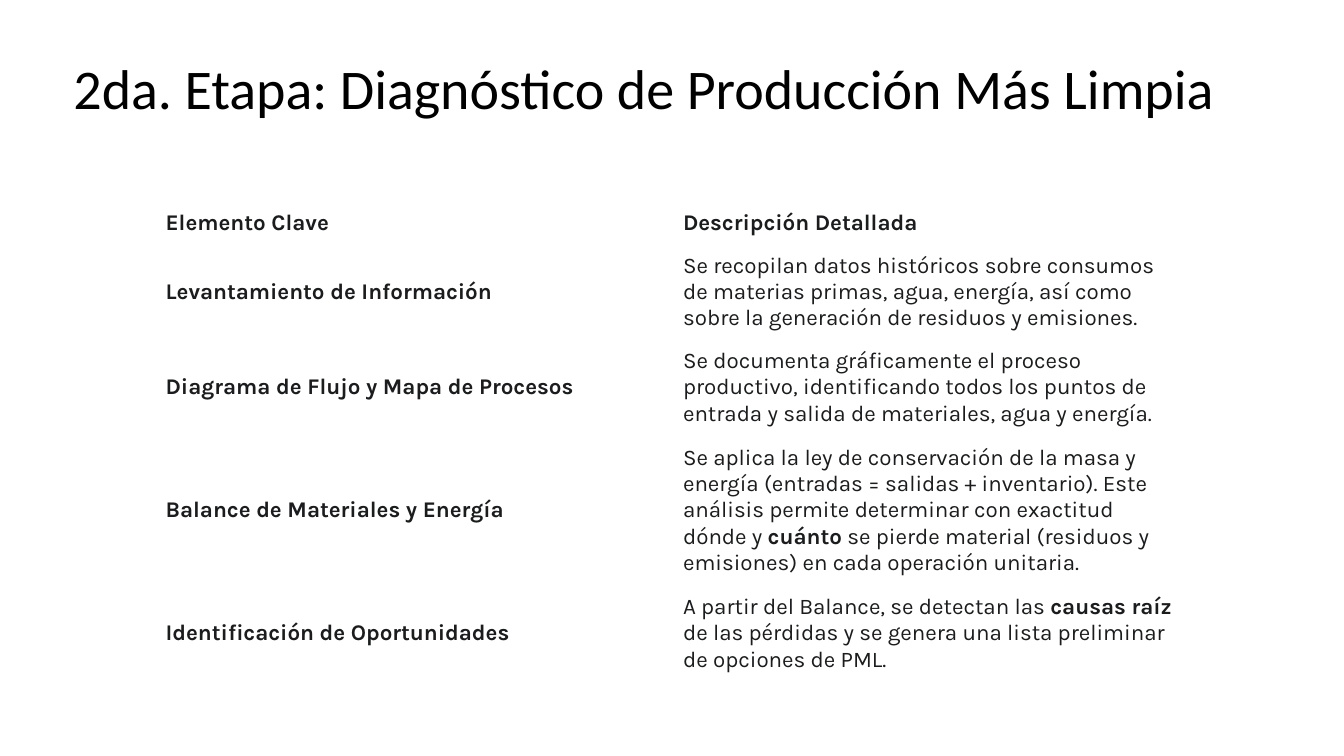
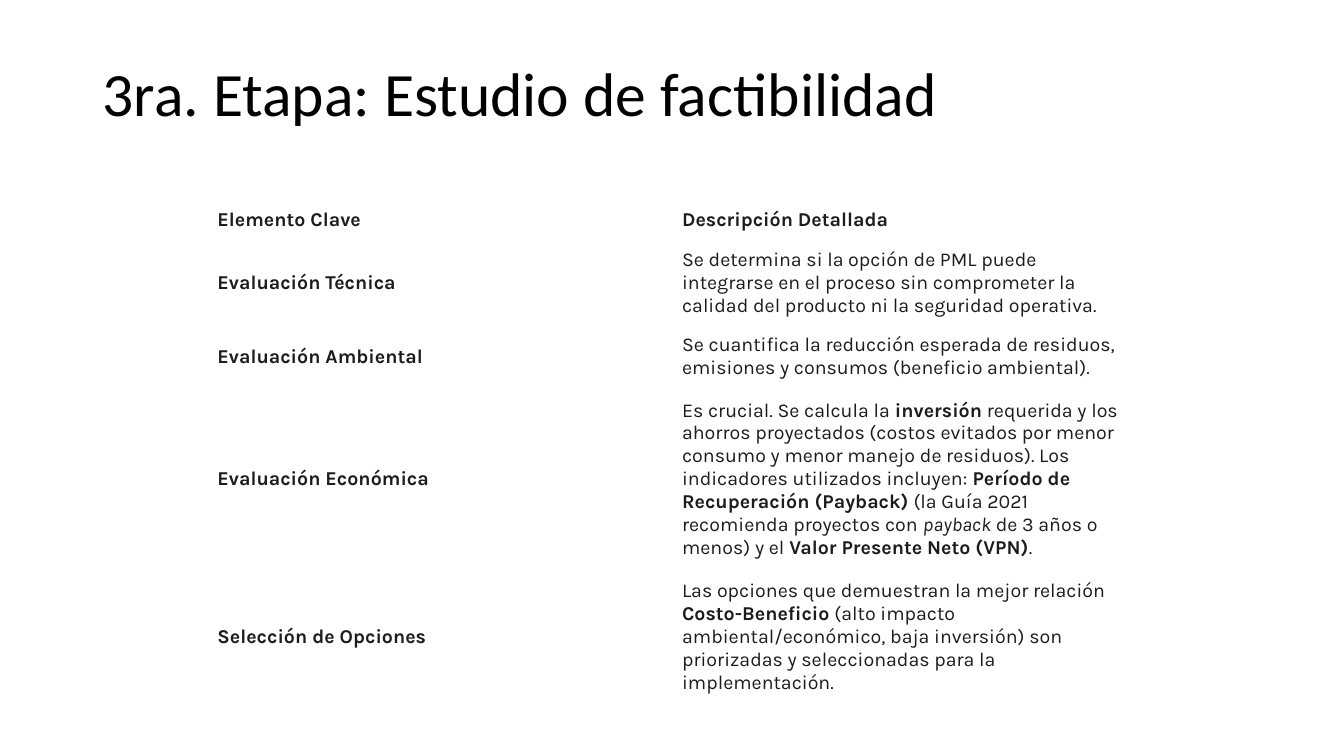
import pptx
import pptx.dml.color
import pptx.enum.text
import pptx.oxml
import pptx.oxml.ns
import pptx.util

BLACK = pptx.dml.color.RGBColor(0x00, 0x00, 0x00)
INK = pptx.dml.color.RGBColor(0x1B, 0x1C, 0x1D)
WHITE = pptx.dml.color.RGBColor(0xFF, 0xFF, 0xFF)

WIDTH = pptx.util.Inches(13.33)
HEIGHT = pptx.util.Inches(7.5)
COLUMN = WIDTH / 100
ROW = HEIGHT / 100
TITLE_TOP = 5.33 * ROW
TABLE_TOP = 26.67 * ROW
TABLE_HEIGHT = 63.47 * ROW
MIDDLE = pptx.enum.text.MSO_ANCHOR.MIDDLE
HEADINGS = ("Elemento Clave", "Descripción Detallada")

STAGES = [
    {
        "title": "2da. Etapa: Diagnóstico de Producción Más Limpia",
        "title_box": (4.73, 88.37, 13.6),
        "title_size": 40,
        "table_width": 77,
        "text_size": 16,
        "margin": 0.11,
        "row_weights": (42, 95, 95, 149, 95),
        "rows": [
            ("Levantamiento de Información",
             "Se recopilan datos históricos sobre consumos de materias primas, agua, "
             "energía, así como sobre la generación de residuos y emisiones."),
            ("Diagrama de Flujo y Mapa de Procesos",
             "Se documenta gráficamente el proceso productivo, identificando todos los "
             "puntos de entrada y salida de materiales, agua y energía."),
            ("Balance de Materiales y Energía",
             "Se aplica la ley de conservación de la masa y energía (entradas = salidas + "
             "inventario). Este análisis permite determinar con exactitud dónde y *cuánto* "
             "se pierde material (residuos y emisiones) en cada operación unitaria."),
            ("Identificación de Oportunidades",
             "A partir del Balance, se detectan las *causas raíz* de las pérdidas y se "
             "genera una lista preliminar de opciones de PML."),
        ],
    },
    {
        "title": "3ra. Etapa: Estudio de factibilidad",
        "title_box": (6.9, 86.27, 14.93),
        "title_size": 44,
        "table_width": 69.15,
        "text_size": 14,
        "margin": 0.1,
        "row_weights": (37, 86, 61, 182, 110),
        "rows": [
            ("Evaluación Técnica",
             "Se determina si la opción de PML puede integrarse en el proceso sin "
             "comprometer la calidad del producto ni la seguridad operativa."),
            ("Evaluación Ambiental",
             "Se cuantifica la reducción esperada de residuos, emisiones y consumos "
             "(beneficio ambiental)."),
            ("Evaluación Económica",
             "Es crucial. Se calcula la *inversión* requerida y los ahorros proyectados "
             "(costos evitados por menor consumo y menor manejo de residuos). Los "
             "indicadores utilizados incluyen: *Período de Recuperación (Payback)* (la "
             "Guía 2021 recomienda proyectos con _payback_ de 3 años o menos) y el "
             "*Valor Presente Neto (VPN)*."),
            ("Selección de Opciones",
             "Las opciones que demuestran la mejor relación *Costo-Beneficio* (alto "
             "impacto ambiental/económico, baja inversión) son priorizadas y "
             "seleccionadas para la implementación."),
        ],
    },
]


def add_run(paragraph, text, color, **formats):
    run = paragraph.add_run()
    run.text = text
    run.font.color.rgb = color
    for name, value in formats.items():
        setattr(run.font, name, value)


def add_borders(cell):
    properties = cell._tc.get_or_add_tcPr()
    for position, side in enumerate(("lnL", "lnR", "lnT", "lnB")):
        properties.insert(position, pptx.oxml.parse_xml(
            f'<a:{side} {pptx.oxml.ns.nsdecls("a")} w="{pptx.util.Pt(0.75)}">'
            f'<a:solidFill><a:srgbClr val="{WHITE}"/></a:solidFill></a:{side}>'))


presentation = pptx.Presentation()
presentation.slide_width = WIDTH
presentation.slide_height = HEIGHT

for stage in STAGES:
    slide = presentation.slides.add_slide(presentation.slide_layouts[6])
    slide.background.fill.solid()
    slide.background.fill.fore_color.rgb = WHITE

    left, width, height = stage["title_box"]
    title = slide.shapes.add_textbox(
        int(left * COLUMN), int(TITLE_TOP), int(width * COLUMN), int(height * ROW))
    title.text_frame.word_wrap = True
    title.text_frame.vertical_anchor = MIDDLE
    paragraph = title.text_frame.paragraphs[0]
    paragraph.line_spacing = 0.9
    add_run(paragraph, stage["title"], BLACK, name="Calibri",
            size=pptx.util.Pt(stage["title_size"]))

    rows = [HEADINGS] + stage["rows"]
    table_width = stage["table_width"] * COLUMN
    table = slide.shapes.add_table(
        len(rows), len(HEADINGS), int((WIDTH - table_width) / 2), int(TABLE_TOP),
        int(table_width), int(TABLE_HEIGHT)).table
    table.horz_banding = False
    weights = stage["row_weights"]
    cell_format = {
        "vertical_anchor": MIDDLE,
        "margin_left": pptx.util.Inches(stage["margin"]),
        "margin_right": pptx.util.Inches(stage["margin"]),
        "margin_top": pptx.util.Inches(0.07),
        "margin_bottom": pptx.util.Inches(0.07),
    }

    for row_index, texts in enumerate(rows):
        table.rows[row_index].height = int(TABLE_HEIGHT * weights[row_index] / sum(weights))
        for column_index, text in enumerate(texts):
            cell = table.cell(row_index, column_index)
            for name, value in cell_format.items():
                setattr(cell, name, value)
            cell.fill.background()
            add_borders(cell)
            heading = row_index == 0 or column_index == 0
            for bold_index, part in enumerate(text.split("*")):
                for italic_index, words in enumerate(part.split("_")):
                    add_run(cell.text_frame.paragraphs[0], words, INK, name="Karla",
                            size=pptx.util.Pt(stage["text_size"]),
                            bold=heading or bold_index % 2 == 1,
                            italic=italic_index % 2 == 1)

presentation.save("out.pptx")
